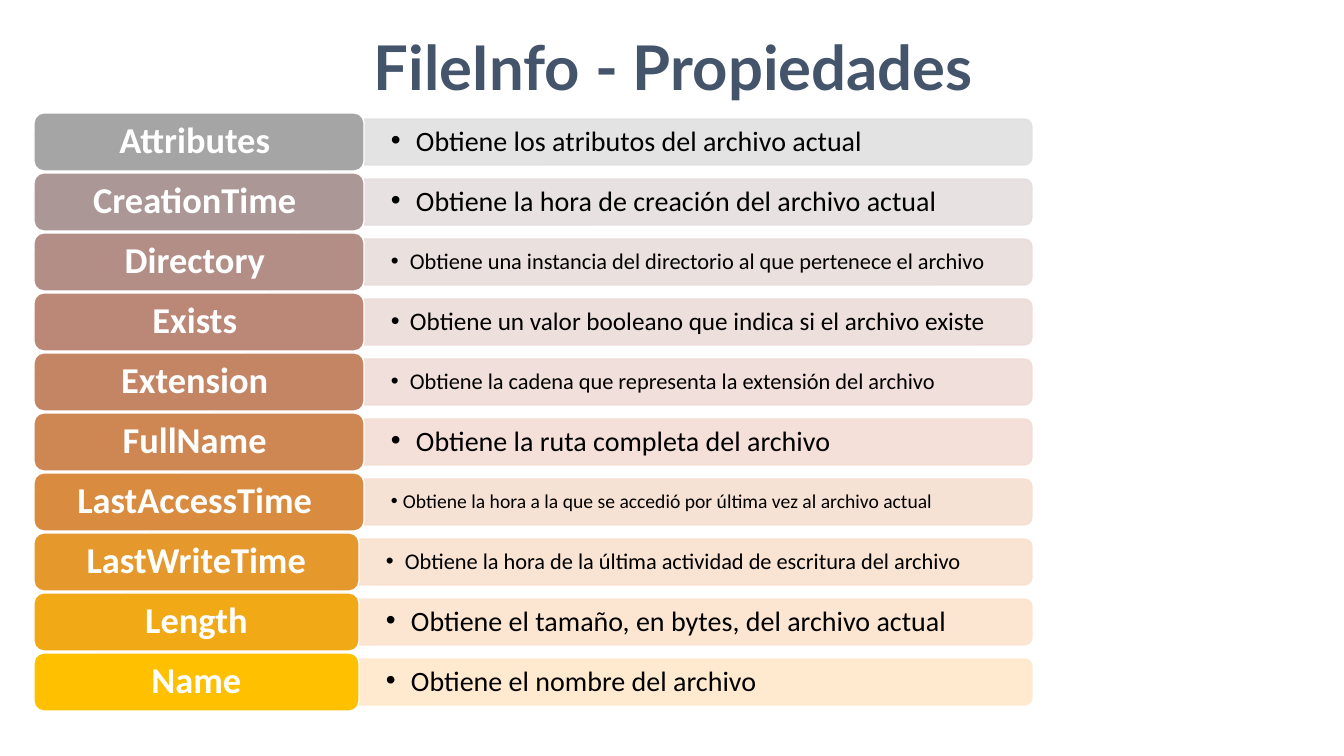
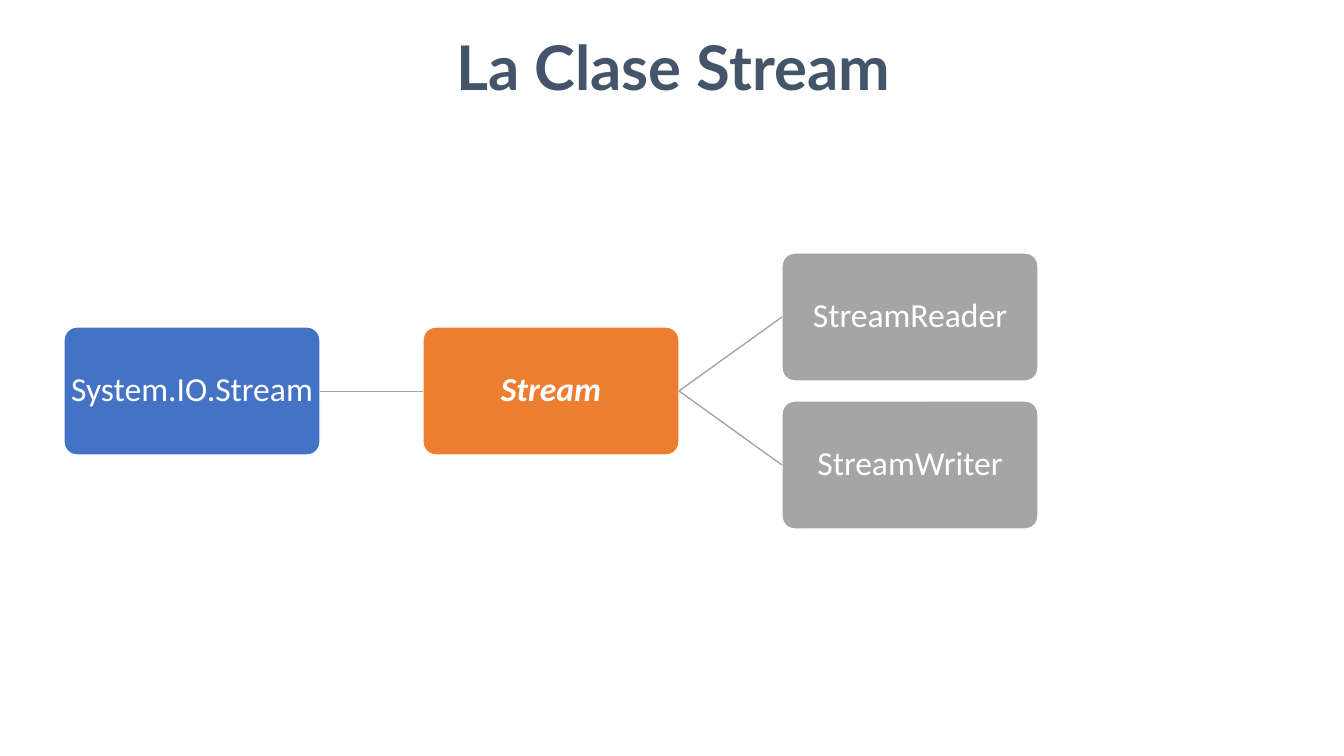
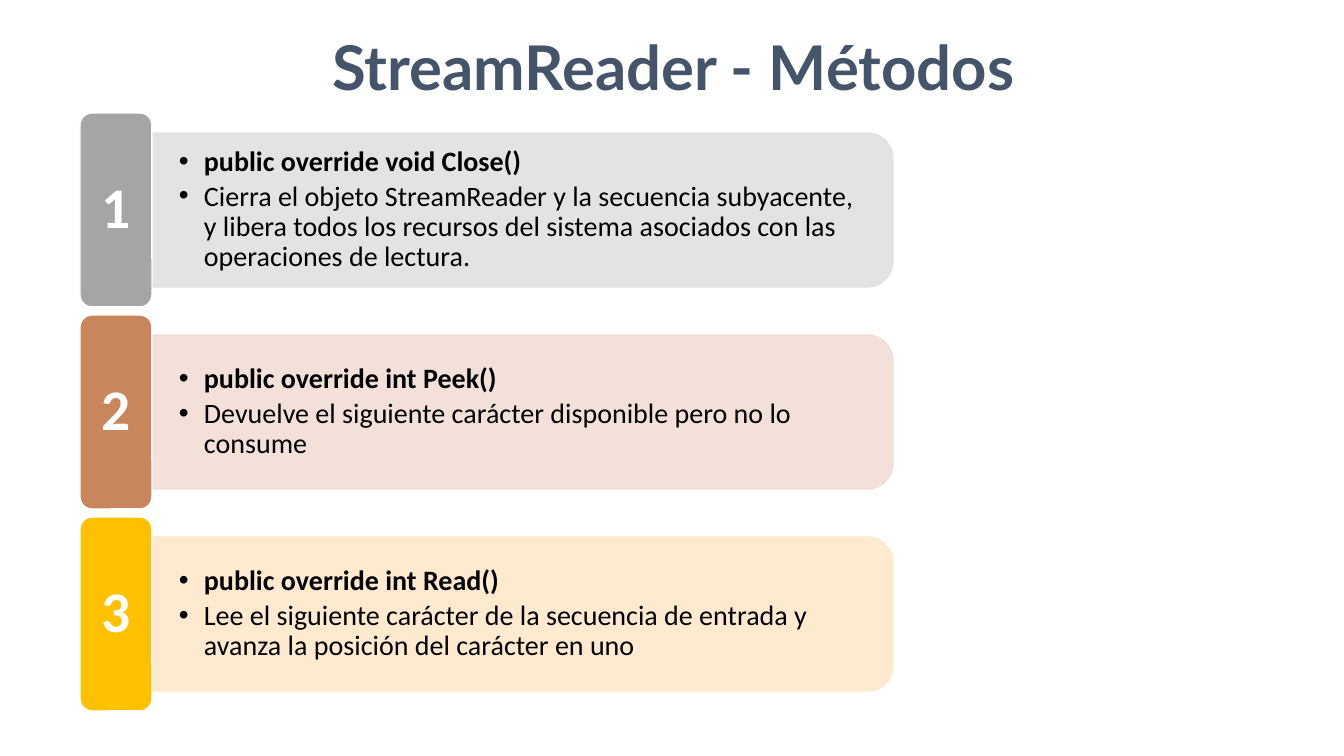
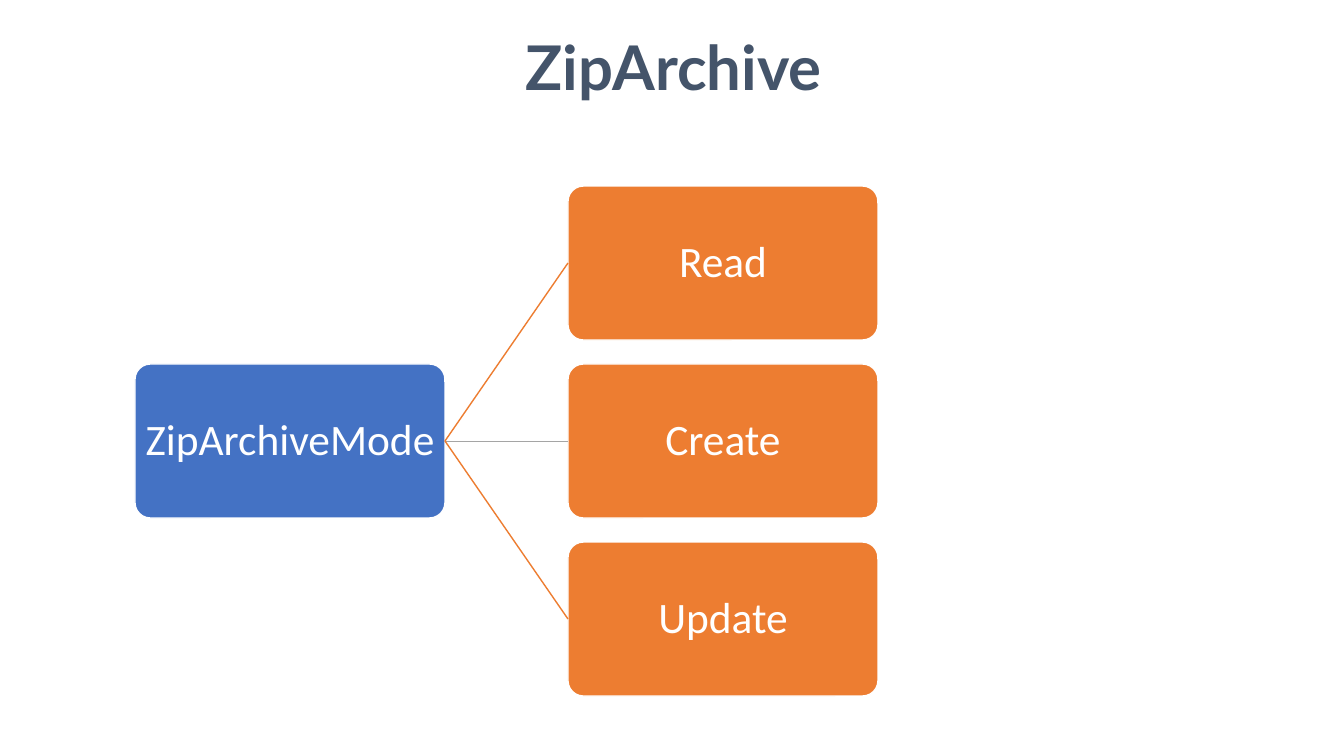
from colorsys import hls_to_rgb

from lxml.etree import SubElement
from pptx import Presentation
from pptx.dml.color import RGBColor
from pptx.enum.shapes import MSO_CONNECTOR, MSO_SHAPE
from pptx.enum.text import MSO_ANCHOR, PP_ALIGN
from pptx.oxml.ns import qn
from pptx.util import Emu, Pt

SLIDE_WIDTH, SLIDE_HEIGHT = 1344, 756
EMU_PER_PX = 12192000 / SLIDE_WIDTH

WHITE = RGBColor(0xFF, 0xFF, 0xFF)
BLACK = RGBColor(0x00, 0x00, 0x00)
SLATE = RGBColor(0x44, 0x54, 0x6A)
BLUE = RGBColor(0x44, 0x72, 0xC4)
ORANGE = RGBColor(0xED, 0x7D, 0x31)
GRAY = RGBColor(0xA5, 0xA5, 0xA5)

LABEL_RAMP = {"hue": 45.2, "lightness": (0.647, 0.5)}
BAND_RAMP = {"hue": 33, "lightness": (0.882, 0.898)}

TITLE_FONT, BODY_FONT = "Lato", "Calibri"
BULLET_INDENT = {20: 25, 18: 19, 16: 19, 14: 12}
ROWS_TOP = 113

PROPERTIES = [
    ("Attributes ", "Obtiene los atributos del archivo actual", 20, 330),
    ("CreationTime ", "Obtiene la hora de creación del archivo actual", 20, 330),
    ("Directory ", "Obtiene una instancia del directorio al que pertenece el archivo", 16, 330),
    ("Exists ", "Obtiene un valor booleano que indica si el archivo existe", 18, 330),
    ("Extension ", "Obtiene la cadena que representa la extensión del archivo", 16, 330),
    ("FullName ", "Obtiene la ruta completa del archivo", 20, 330),
    ("LastAccessTime ", "Obtiene la hora a la que se accedió por última vez al archivo actual", 14, 330),
    ("LastWriteTime", "Obtiene la hora de la última actividad de escritura del archivo", 16, 325),
    ("Length", "Obtiene el tamaño, en bytes, del archivo actual", 20, 325),
    ("Name", "Obtiene el nombre del archivo", 20, 325),
]

METHODS = [
    ("public override void Close()",
     "Cierra el objeto StreamReader y la secuencia subyacente, y libera todos los "
     "recursos del sistema asociados con las operaciones de lectura."),
    ("public override int Peek()",
     "Devuelve el siguiente carácter disponible pero no lo consume"),
    ("public override int Read()",
     "Lee el siguiente carácter de la secuencia de entrada y avanza la posición "
     "del carácter en uno"),
]

STREAM_TREE = {
    "levels": [(BLUE, ["System.IO.Stream"]), (ORANGE, ["Stream"]),
               (GRAY, ["StreamReader", "StreamWriter"])],
    "left": 64, "middle": 391, "node": (256, 128), "step": (359, 148),
    "size": 24, "emphasis": "Stream",
}
ZIP_TREE = {
    "levels": [(BLUE, ["ZipArchiveMode"]), (ORANGE, ["Read", "Create", "Update"])],
    "left": 135, "middle": 441, "node": (310, 154), "step": (433, 178),
    "size": 31, "emphasis": None,
}


def px(length):
    return Emu(round(length * EMU_PER_PX))


def ramp_color(ramp, fraction):
    first, last = ramp["lightness"]
    lightness = first + (last - first) * fraction
    channels = hls_to_rgb(ramp["hue"] * fraction / 360, lightness, fraction)
    return RGBColor(*(round(channel * 255) for channel in channels))


def set_frame(shape, anchor, horizontal, vertical):
    frame = shape.text_frame
    frame.word_wrap = True
    frame.vertical_anchor = anchor
    frame.margin_left = frame.margin_right = px(horizontal)
    frame.margin_top = frame.margin_bottom = px(vertical)
    return frame


def set_font(paragraph, name, size, color, bold=False, italic=False):
    for run in paragraph.runs:
        font = run.font
        font.name, font.size = name, Pt(size)
        font.bold, font.italic = bold, italic
        font.color.rgb = color


def add_box(slide, kind, left, top, width, height, fill, line):
    shape = slide.shapes.add_shape(kind, px(left), px(top), px(width), px(height))
    shape.shadow.inherit = False
    shape.fill.solid()
    shape.fill.fore_color.rgb = fill
    shape.line.color.rgb = line
    shape.line.width = Pt(1)
    return shape


def add_label(slide, left, top, width, height, fill, text, size, bold=True, italic=False):
    shape = add_box(slide, MSO_SHAPE.ROUNDED_RECTANGLE, left, top, width, height, fill, WHITE)
    paragraph = set_frame(shape, MSO_ANCHOR.MIDDLE, 1, 1).paragraphs[0]
    paragraph.text = text
    paragraph.alignment = PP_ALIGN.CENTER
    paragraph.line_spacing = 0.9
    set_font(paragraph, BODY_FONT, size, WHITE, bold, italic)
    return shape


def add_band(slide, left, middle, width, height, color):
    center = left + width / 2
    band = add_box(slide, MSO_SHAPE.ROUND_2_SAME_RECTANGLE, center - height / 2,
                   middle - width / 2, height, width, color, color)
    band.rotation = 90
    for color_element in band._element.spPr.iter(qn("a:srgbClr")):
        SubElement(color_element, qn("a:alpha"), val="90000")


def add_bullets(slide, left, middle, width, height, items, size):
    box = slide.shapes.add_textbox(px(left), px(middle - height / 2), px(width), px(height))
    frame = set_frame(box, MSO_ANCHOR.MIDDLE, 27, 14)
    frame.text = "\n".join(text for text, bold in items)
    for paragraph, (text, bold) in zip(frame.paragraphs, items):
        indent = px(BULLET_INDENT[size])
        properties = paragraph._p.get_or_add_pPr()
        properties.set("marL", str(indent))
        properties.set("indent", str(-indent))
        SubElement(properties, qn("a:buFont"), typeface="Arial")
        SubElement(properties, qn("a:buChar"), char="•")
        paragraph.line_spacing = 0.9
        paragraph.space_after = Pt(size * 0.15)
        set_font(paragraph, BODY_FONT, size, BLACK, bold)


def add_row(slide, row, left, label_width, label_height, label, label_size,
            right, band_height, fraction, pitch, items, size):
    top = ROWS_TOP + row * pitch
    middle = top + label_height / 2
    band_left = left + label_width
    add_band(slide, band_left, middle, right - band_left, band_height,
             ramp_color(BAND_RAMP, fraction))
    add_bullets(slide, band_left, middle, right - band_left - 6, band_height - 6, items, size)
    add_label(slide, left, top, label_width, label_height,
              ramp_color(LABEL_RAMP, fraction), label, label_size)


def add_link(slide, parent, child, color):
    link = slide.shapes.add_connector(MSO_CONNECTOR.STRAIGHT, 0, 0, 0, 0)
    link.begin_connect(parent, 3)
    link.end_connect(child, 1)
    level = abs(link.height) < px(2)
    link.line.color.rgb = GRAY if level else color
    link.line.width = Pt(0.5 if level else 1)
    SubElement(link._element.spPr, qn("a:effectLst"))


def add_tree(slide, tree):
    width, height = tree["node"]
    step_x, step_y = tree["step"]
    parent = None
    for column, (color, names) in enumerate(tree["levels"]):
        left = tree["left"] + column * step_x
        first_top = tree["middle"] - height / 2 - (len(names) - 1) * step_y / 2
        for row, name in enumerate(names):
            strong = name == tree["emphasis"]
            node = add_label(slide, left, first_top + row * step_y, width, height,
                             color, name, tree["size"], strong, strong)
            node.adjustments[0] = 0.1
            if parent is not None:
                add_link(slide, parent, node, color)
        parent = node


def add_slide(presentation, title):
    slide = presentation.slides.add_slide(presentation.slide_layouts[6])
    box = slide.shapes.add_textbox(px(13), px(27), px(1321), px(80))
    paragraph = set_frame(box, MSO_ANCHOR.TOP, 5, 2).paragraphs[0]
    paragraph.text = title
    paragraph.alignment = PP_ALIGN.CENTER
    set_font(paragraph, TITLE_FONT, 44, SLATE, bold=True)
    return slide


def main():
    presentation = Presentation()
    presentation.slide_width, presentation.slide_height = px(SLIDE_WIDTH), px(SLIDE_HEIGHT)

    slide = add_slide(presentation, "FileInfo - Propiedades")
    for row, (name, description, size, label_width) in enumerate(PROPERTIES):
        add_row(slide, row, 34, label_width, 58, name, 26, 1032, 46,
                row / (len(PROPERTIES) - 1), 60, [(description, False)], size)

    add_tree(add_slide(presentation, "La Clase Stream"), STREAM_TREE)

    slide = add_slide(presentation, "StreamReader - Métodos")
    for row, (signature, description) in enumerate(METHODS):
        add_row(slide, row, 80, 72, 194, str(row + 1), 41, 893, 154,
                row / (len(METHODS) - 1), 202, [(signature, True), (description, False)], 20)

    add_tree(add_slide(presentation, "ZipArchive"), ZIP_TREE)
    presentation.save("out.pptx")


if __name__ == "__main__":
    main()
